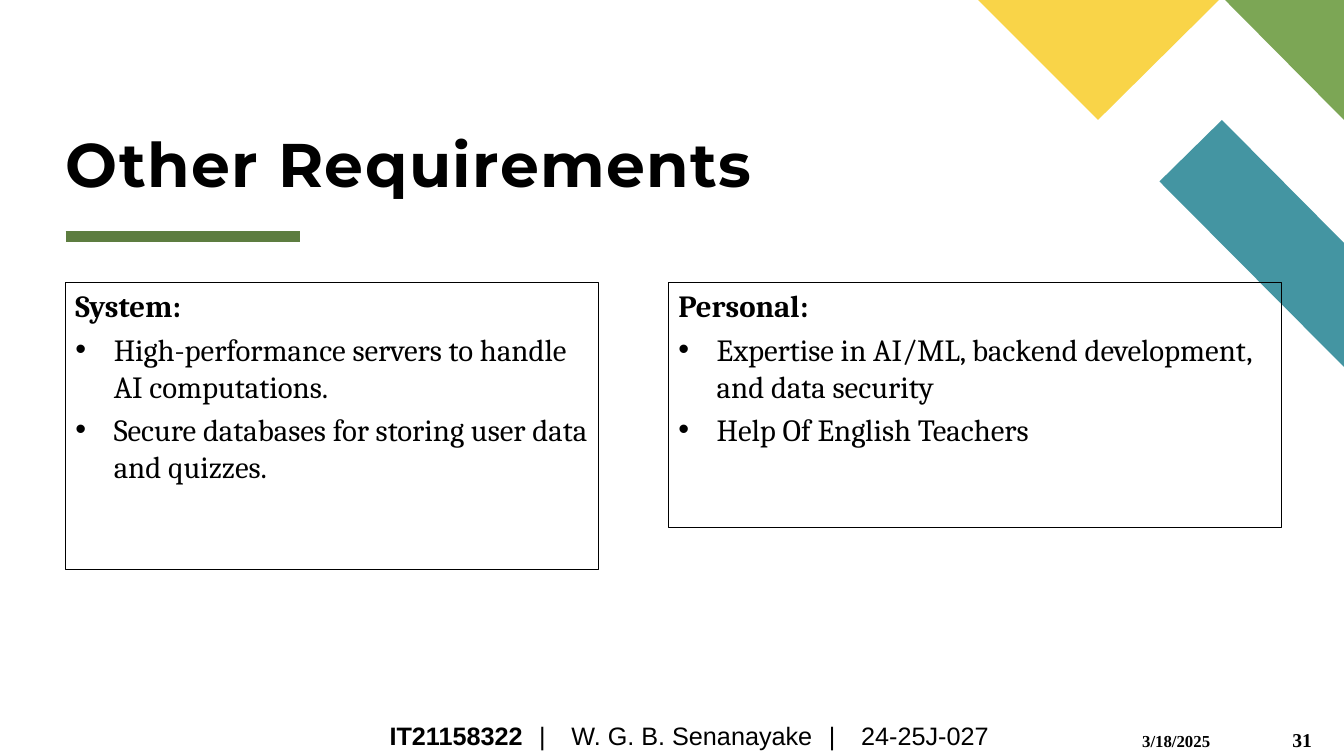
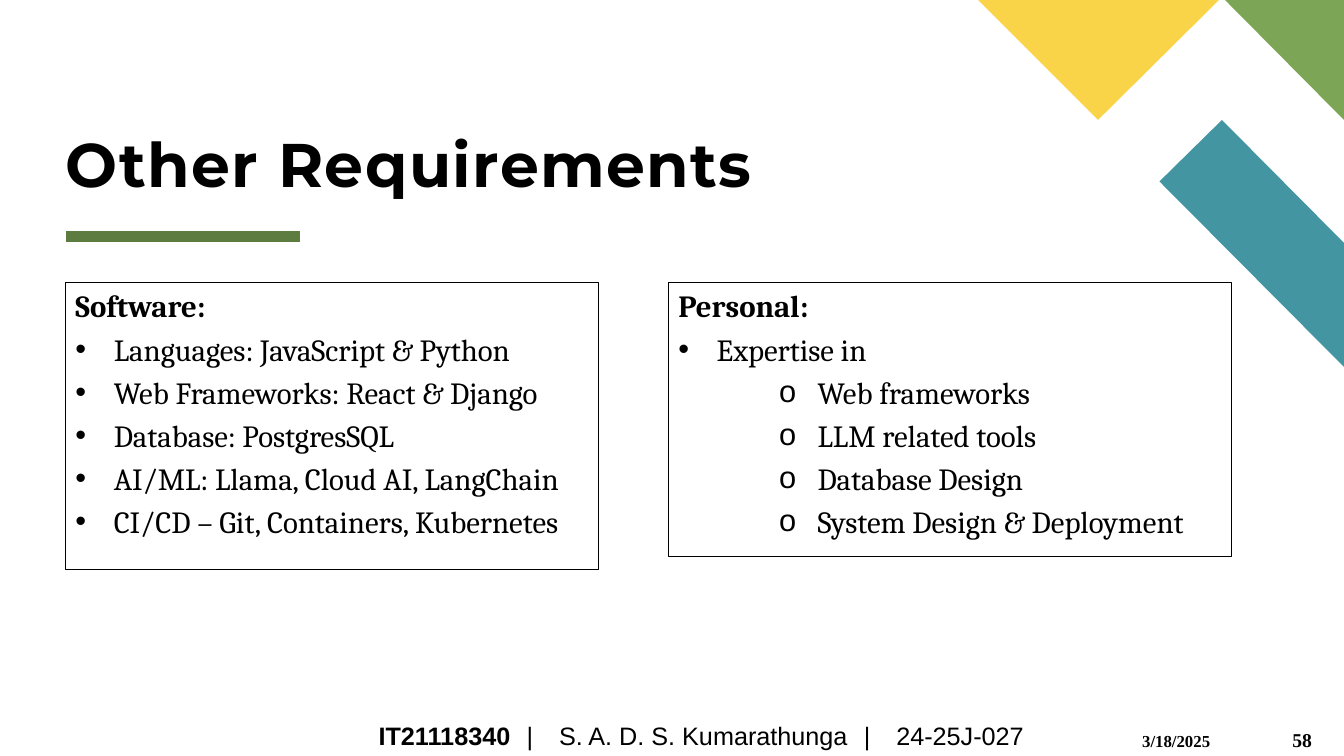
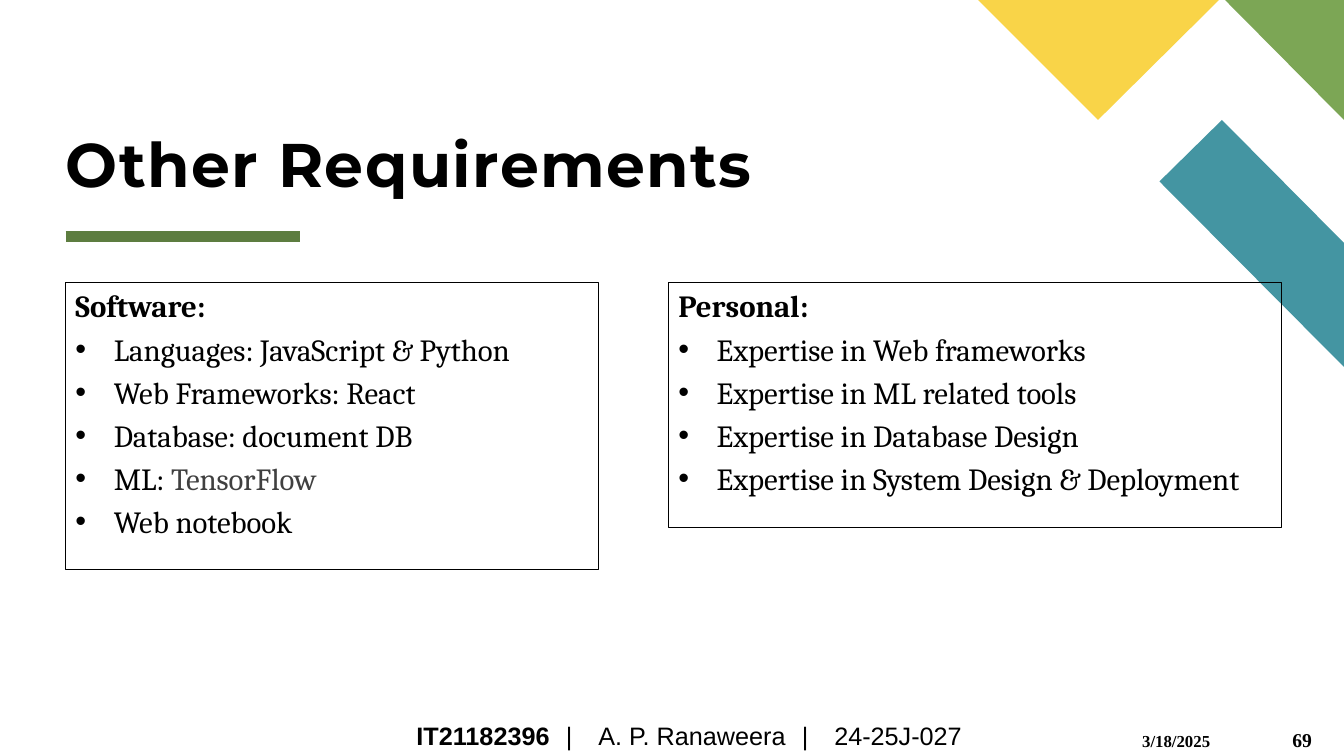
from lxml import etree
from pptx import Presentation
from pptx.dml.color import RGBColor
from pptx.enum.shapes import MSO_CONNECTOR, MSO_SHAPE
from pptx.enum.text import MSO_ANCHOR, PP_ALIGN
from pptx.oxml.ns import qn
from pptx.util import Inches, Pt

STRAIGHT, RECTANGLE = MSO_CONNECTOR.STRAIGHT, MSO_SHAPE.RECTANGLE
TOP, MIDDLE, BOTTOM = MSO_ANCHOR.TOP, MSO_ANCHOR.MIDDLE, MSO_ANCHOR.BOTTOM
LEFT, CENTER = PP_ALIGN.LEFT, PP_ALIGN.CENTER

BLACK, GREY, DARK_GREEN = "000000", "404040", "5D7D40"
WIDTH, HEIGHT = 13.33, 7.5
MARGIN = 0.65
PANEL_TOP = 2.8
LEFT_PANEL = (MARGIN, PANEL_TOP, 5.29, 2.85)
WIDE_PANEL = (6.63, PANEL_TOP, 6.08, 2.43)
TALL_PANEL = (6.63, PANEL_TOP, 5.58, 2.72)

CORNER_BANDS = [
    ("4495A2", [(WIDTH, 3.64), (WIDTH, 2.41), (12.12, 1.19), (11.5, 1.8)]),
    ("7CA655", [(WIDTH, 1.19), (WIDTH, 0), (12.15, 0)]),
    ("F9D448", [(9.7, 0), (10.89, 1.19), (12.09, 0)]),
]

TITLE = "Other Requirements"
DATE = "3/18/2025"
PROJECT = "24-25J-027"

TITLE_FONT = {"name": "Montserrat", "size": Pt(44), "bold": True}
DATE_FONT = {"name": "Times New Roman", "size": Pt(12), "bold": True}
NUMBER_FONT = {**DATE_FONT, "size": Pt(14)}
FOOTER_FONT = {"name": "Arial", "size": Pt(18), "bold": False}
BODY_FONT = {"name": "Cambria", "size": Pt(22), "bold": False}
HEADING_FONT = {**BODY_FONT, "bold": True}

# Bullet character and left indent in inches, by level
BULLETS = [("•", 0.38), ("o", 1.38)]
HANGING = 0.38

# A panel is (box, heading, items); an item is (level, [(text, colour), ...]) or a plain string
SLIDES = [
    {
        "number": "31", "student": "IT21158322", "author": "W. G. B. Senanayake",
        "footer_left": 3.11,
        "panels": [
            (LEFT_PANEL, "System:", [
                "High-performance servers to handle AI computations.",
                "Secure databases for storing user data and quizzes.",
            ]),
            (WIDE_PANEL, "Personal:", [
                "Expertise in AI/ML, backend development, and data security",
                "Help Of English Teachers",
            ]),
        ],
    },
    {
        "number": "58", "student": "IT21118340", "author": "S. A. D. S. Kumarathunga",
        "footer_left": 3.23,
        "panels": [
            (LEFT_PANEL, "Software:", [
                "Languages: JavaScript & Python",
                "Web Frameworks: React & Django",
                "Database: PostgresSQL",
                "AI/ML: Llama, Cloud AI, LangChain",
                "CI/CD – Git, Containers, Kubernetes",
            ]),
            (TALL_PANEL, "Personal:", [
                "Expertise in",
                (1, [("Web frameworks", BLACK)]),
                (1, [("LLM related tools", BLACK)]),
                (1, [("Database Design", BLACK)]),
                (1, [("System Design & Deployment", BLACK)]),
            ]),
        ],
    },
    {
        "number": "69", "student": "IT21182396", "author": "A. P. Ranaweera",
        "footer_left": 3.11,
        "panels": [
            (LEFT_PANEL, "Software:", [
                "Languages: JavaScript & Python",
                "Web Frameworks: React",
                "Database: document DB",
                (0, [("ML: ", BLACK), ("TensorFlow", GREY)]),
                "Web notebook",
            ]),
            (WIDE_PANEL, "Personal:", [
                "Expertise in Web frameworks",
                "Expertise in ML related tools",
                "Expertise in Database Design",
                "Expertise in System Design & Deployment",
            ]),
        ],
    },
]


def rgb(colour):
    return RGBColor.from_string(colour)


def add_run(paragraph, text, font, colour=BLACK, spacing=0):
    """Append text; spacing is the extra width of each character in points."""
    run = paragraph.add_run()
    run.text = text
    for attribute, value in font.items():
        setattr(run.font, attribute, value)
    run.font.color.rgb = rgb(colour)
    if spacing:
        run.font._element.set("spc", str(round(spacing * 100)))


def add_label(slide, box, anchor=TOP, align=LEFT):
    """Add an empty wrapping text box and return its frame and first paragraph."""
    frame = slide.shapes.add_textbox(*map(Inches, box)).text_frame
    frame.word_wrap = True
    frame.vertical_anchor = anchor
    paragraph = frame.paragraphs[0]
    paragraph.alignment = align
    return frame, paragraph


def add_bullet(paragraph, level):
    character, indent = BULLETS[level]
    paragraph.level = level
    properties = paragraph._p.get_or_add_pPr()
    properties.set("marL", str(Inches(indent)))
    properties.set("indent", str(-Inches(HANGING)))
    etree.SubElement(properties, qn("a:buFont"), typeface="Arial")
    etree.SubElement(properties, qn("a:buChar"), char=character)


def add_corner(slide):
    for colour, points in CORNER_BANDS:
        start, *rest = [tuple(map(Inches, point)) for point in points]
        outline = slide.shapes.build_freeform(*start)
        outline.add_line_segments(rest, close=True)
        band = outline.convert_to_shape()
        band.shadow.inherit = False
        band.fill.solid()
        band.fill.fore_color.rgb = rgb(colour)
        band.line.fill.background()


def add_title(slide):
    rule = slide.shapes.add_connector(
        STRAIGHT, *map(Inches, (MARGIN, 2.35, 2.98, 2.35)))
    rule.line.color.rgb = rgb(DARK_GREEN)
    rule.line.width = Pt(8)
    etree.SubElement(rule._element.spPr, qn("a:effectLst"))

    frame, paragraph = add_label(slide, (MARGIN, 0.22, 12, 1.76), BOTTOM)
    for side in ("left", "top", "right", "bottom"):
        setattr(frame, f"margin_{side}", 0)
    paragraph.line_spacing = 0.8
    add_run(paragraph, TITLE, TITLE_FONT, spacing=1)


def add_panel(slide, box, heading, items):
    panel = slide.shapes.add_shape(RECTANGLE, *map(Inches, box))
    panel.shadow.inherit = False
    panel.fill.background()
    panel.line.color.rgb = rgb(BLACK)
    panel.line.width = Pt(0.75)
    frame = panel.text_frame
    frame.word_wrap = True
    frame.vertical_anchor = TOP
    frame.paragraphs[0].alignment = LEFT
    add_run(frame.paragraphs[0], heading, HEADING_FONT)
    for item in items:
        level, parts = (0, [(item, BLACK)]) if isinstance(item, str) else item
        paragraph = frame.add_paragraph()
        paragraph.alignment = LEFT
        paragraph.space_before = Pt(4.4)
        add_bullet(paragraph, level)
        for text, colour in parts:
            add_run(paragraph, text, BODY_FONT, colour)


def add_footer(slide, content):
    _, date = add_label(slide, (11.23, 7.2, 1.44, 0.27))
    add_run(date, DATE, DATE_FONT)
    _, number = add_label(slide, (12.72, 7.17, 0.57, 0.27))
    add_run(number, content["number"], NUMBER_FONT)
    _, credit = add_label(slide, (content["footer_left"], 7.1, 7.45, 0.4), MIDDLE, CENTER)
    add_run(credit, content["student"], {**FOOTER_FONT, "bold": True})
    for text in (content["author"], PROJECT):
        add_run(credit, " | ", FOOTER_FONT, spacing=6.7)
        add_run(credit, text, FOOTER_FONT)


def main():
    presentation = Presentation()
    presentation.slide_width = Inches(WIDTH)
    presentation.slide_height = Inches(HEIGHT)
    blank = presentation.slide_layouts[6]
    for content in SLIDES:
        slide = presentation.slides.add_slide(blank)
        add_corner(slide)
        add_title(slide)
        for panel in content["panels"]:
            add_panel(slide, *panel)
        add_footer(slide, content)
    presentation.save("out.pptx")


if __name__ == "__main__":
    main()
